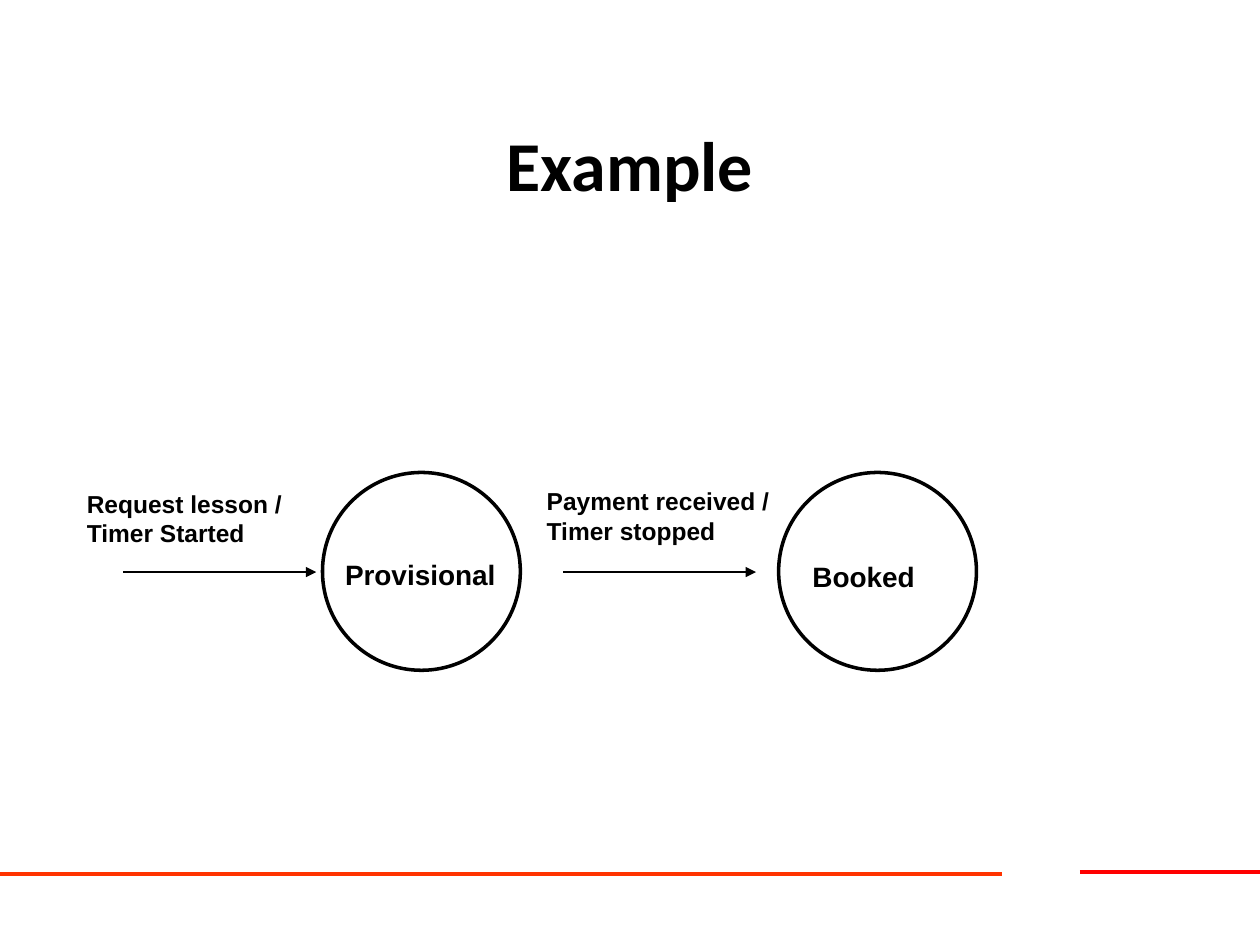
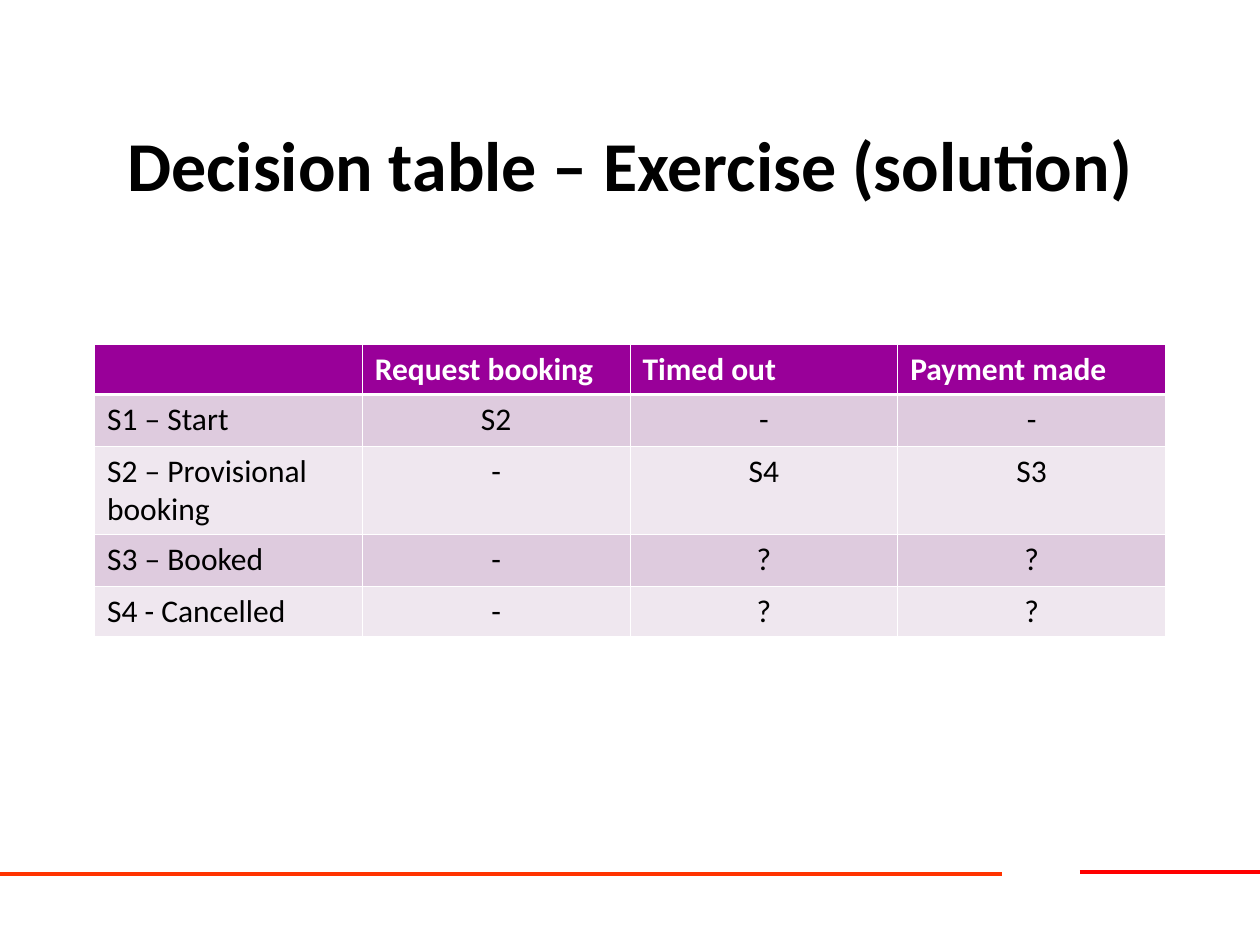
from lxml import etree
from pptx import Presentation
from pptx.dml.color import RGBColor
from pptx.enum import shapes, text
from pptx.oxml import ns
from pptx.util import Inches, Pt

BLACK = RGBColor(0x00, 0x00, 0x00)
WHITE = RGBColor(0xFF, 0xFF, 0xFF)
RED = RGBColor(0xFF, 0x00, 0x00)
ORANGE = RGBColor(0xFF, 0x33, 0x00)
PURPLE = RGBColor(0x99, 0x00, 0x99)
BANDS = (RGBColor(0xDE, 0xCB, 0xDE), RGBColor(0xEF, 0xE7, 0xEF))

CENTER = text.PP_ALIGN.CENTER
LEFT = text.PP_ALIGN.LEFT


def write(tf, words, font="Arial", size=18, color=BLACK, bold=False, align=LEFT):
    p = tf.paragraphs[0]
    p.alignment = align
    if words:
        r = p.add_run()
        r.text = words
        r.font.name, r.font.size, r.font.bold = font, Pt(size), bold
        r.font.color.rgb = color


def set_borders(cell, bottom, top, side=0.45):
    """Draw white cell borders; widths are in points."""
    tcPr = cell._tc.get_or_add_tcPr()
    edges = {"lnL": side, "lnR": side, "lnT": top, "lnB": bottom}
    for i, (tag, width) in enumerate(edges.items()):
        ln = etree.Element(ns.qn(f"a:{tag}"), w=str(Pt(width)))
        fill = etree.SubElement(ln, ns.qn("a:solidFill"))
        etree.SubElement(fill, ns.qn("a:srgbClr"), val=str(WHITE))
        tcPr.insert(i, ln)


class Deck:
    """Holds the shared style and the slide being drawn."""

    def __init__(self):
        self.prs = Presentation()
        self.prs.slide_width, self.prs.slide_height = Inches(10), Inches(7.5)

    def new_slide(self, title):
        self.s = self.prs.slides.add_slide(self.prs.slide_layouts[6])
        self.line(8.57, 10, 6.92, RED, 2.25)
        self.line(0, 7.95, 6.94, ORANGE, 2.25)
        self.text(title, 0.75, 0.67, 8.5, 1.25, anchor=text.MSO_ANCHOR.MIDDLE,
                  font="Calibri", size=40, bold=True, align=CENTER)

    def text(self, words, x, y, w, h, anchor=text.MSO_ANCHOR.TOP, **style):
        sp = self.s.shapes.add_textbox(Inches(x), Inches(y), Inches(w), Inches(h))
        tf = sp.text_frame
        tf.word_wrap = True
        tf.vertical_anchor = anchor
        write(tf, words, **style)

    def line(self, x1, x2, y, color=BLACK, width=0.75, arrow=False):
        """Draw a horizontal line, with an arrowhead at x2 if asked."""
        cxn = self.s.shapes.add_connector(
            shapes.MSO_CONNECTOR.STRAIGHT, Inches(x1), Inches(y), Inches(x2), Inches(y))
        cxn.line.color.rgb = color
        cxn.line.width = Pt(width)
        if arrow:
            etree.SubElement(cxn.line._get_or_add_ln(), ns.qn("a:tailEnd"), type="triangle")
        etree.SubElement(cxn._element.spPr, ns.qn("a:effectLst"))

    def circle(self, x, y, size):
        sp = self.s.shapes.add_shape(
            shapes.MSO_SHAPE.OVAL, Inches(x), Inches(y), Inches(size), Inches(size))
        sp.shadow.inherit = False
        sp.fill.solid()
        sp.fill.fore_color.rgb = WHITE
        sp.line.color.rgb = BLACK
        sp.line.width = Pt(2)

    def table(self, rows, x, y, w, heights):
        frame = self.s.shapes.add_table(
            len(rows), len(rows[0]), Inches(x), Inches(y), Inches(w), Inches(sum(heights)))
        table = frame.table
        for row, height in zip(table.rows, heights):
            row.height = Inches(height)
        for i, row in enumerate(rows):
            header = i == 0
            for j, words in enumerate(row):
                cell = table.cell(i, j)
                cell.fill.solid()
                cell.fill.fore_color.rgb = PURPLE if header else BANDS[(i - 1) % 2]
                set_borders(cell, bottom=1.47 if header else 0.45,
                            top=1.47 if i == 1 else 0.45)
                write(cell.text_frame, words, font="Calibri", bold=header,
                      color=WHITE if header else BLACK,
                      align=LEFT if header or j == 0 else CENTER)


def state_diagram(deck):
    deck.new_slide("Example")
    states = [(2.56, "Provisional", 2.64, 4.38, 1.5), (6.18, "Booked", 6.35, 4.39, 1.34)]
    for circle_x, name, x, y, w in states:
        deck.circle(circle_x, 3.75, 1.57)
        deck.text(name, x, y, w, 0.37, size=16, bold=True)
    events = [("Request lesson / Timer Started", 0.59, 3.83, 0.98),
              ("Payment received / Timer stopped", 4.24, 3.81, 4.47)]
    for event, x, y, arrow_x in events:
        deck.text(event, x, y, 2.02, 0.57, size=14, bold=True)
        deck.line(arrow_x, arrow_x + 1.53, 4.54, arrow=True)


def decision_table(deck):
    deck.new_slide("Decision table – Exercise (solution)")
    rows = [("", "Request booking", "Timed out", "Payment made"),
            ("S1 – Start", "S2", "-", "-"),
            ("S2 – Provisional booking", "-", "S4", "S3"),
            ("S3 – Booked", "-", "?", "?"),
            ("S4 - Cancelled", "-", "?", "?")]
    deck.table(rows, 0.75, 2.73, 8.5, (0.4, 0.41, 0.7, 0.41, 0.4))


def main():
    deck = Deck()
    state_diagram(deck)
    decision_table(deck)
    deck.prs.save("out.pptx")


if __name__ == "__main__":
    main()
